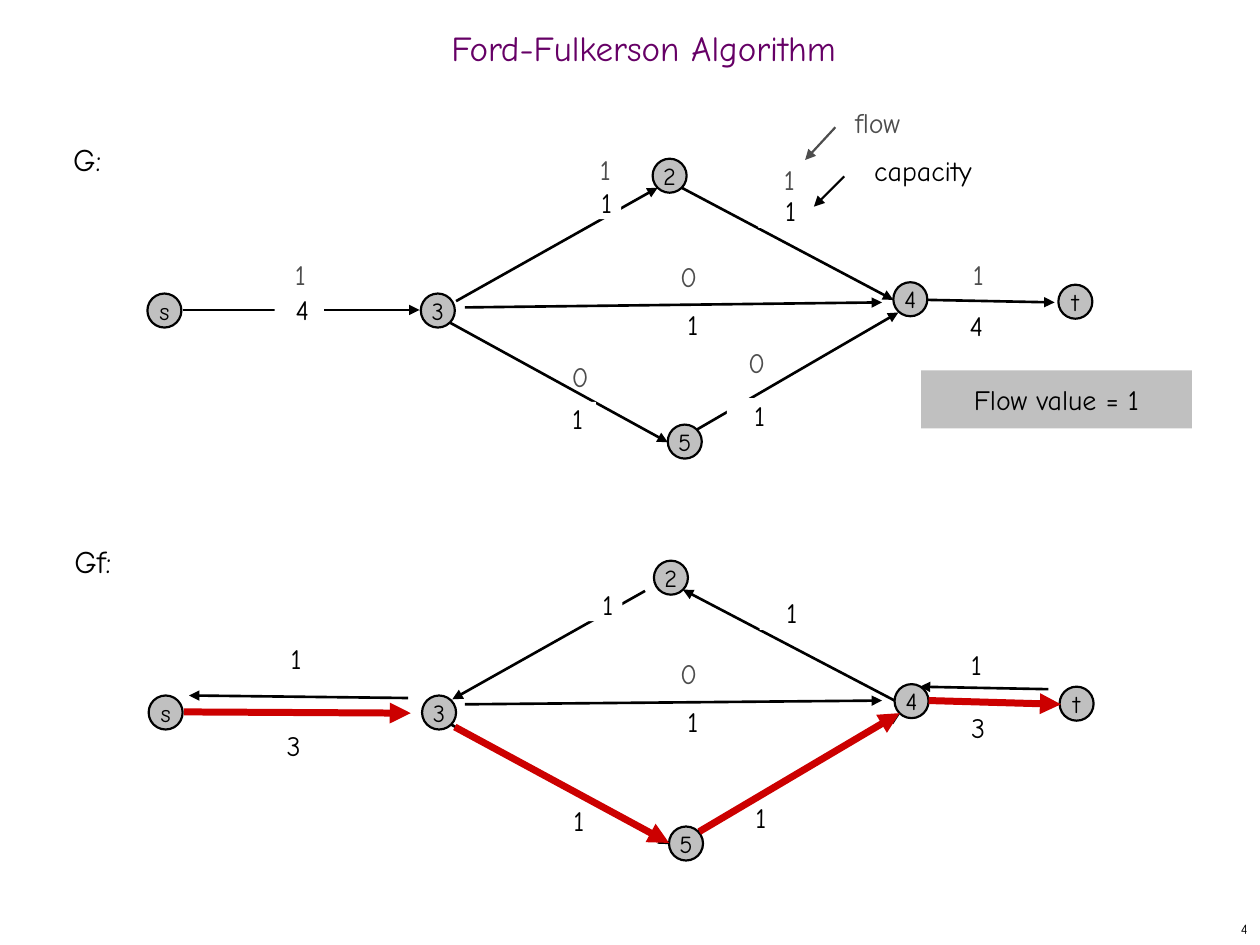
from lxml.etree import SubElement
from pptx import Presentation
from pptx.dml.color import RGBColor
from pptx.enum.shapes import MSO_CONNECTOR, MSO_SHAPE
from pptx.enum.text import MSO_ANCHOR, PP_ALIGN
from pptx.oxml.ns import qn
from pptx.util import Inches, Pt

FONT = "Comic Neue"
BLACK = RGBColor(0, 0, 0)
WHITE = RGBColor(255, 255, 255)
GRAY = RGBColor(0xC0, 0xC0, 0xC0)
DARK = RGBColor(0x4D, 0x4D, 0x4D)
RED = RGBColor(0xCC, 0, 0)
PURPLE = RGBColor(0x66, 0, 0x66)

SIZE = 0.27
DROP = (0.01, 3.19)

NODES = [("s", 1.17, 2.33), ("2", 5.18, 1.26), ("3", 3.34, 2.33),
         ("4", 7.09, 2.24), ("5", 5.3, 3.37), ("t", 8.4, 2.26)]
EDGES = [(3.57, 2.56, 5.3, 3.51), (5.53, 3.41, 7.13, 2.48),
         (7.36, 2.38, 8.37, 2.4)]
COSTS = [("1", 4.39, 3.19, 0.34), ("1", 4.65, 1.47, 0.28),
         ("1", 6.02, 1.54, 0.46), ("1", 5.77, 3.16, 0.47)]

GRAPHS = [
    {
        "name": "G:", "shift": (0, 0),
        "edges": [(1.45, 2.46, 3.33, 2.46), (5.41, 1.49, 7.09, 2.38),
                  (3.62, 2.39, 5.22, 1.49), (3.69, 2.44, 7, 2.4)],
        "costs": [("4", 2.18, 2.32, 0.39), ("4", 7.49, 2.45, 0.47),
                  ("1", 5.24, 2.44, 0.47)],
        "flows": [("1", 2.2, 2.04), ("0", 4.42, 2.85), ("1", 7.58, 2.04),
                  ("1", 4.62, 1.21), ("0", 5.82, 2.74), ("1", 6.08, 1.29),
                  ("0", 5.28, 2.06)],
        "route": [],
    },
    {
        "name": "Gf:", "shift": DROP,
        "edges": [(7.1, 5.56, 5.42, 4.68), (5.12, 4.69, 3.59, 5.55),
                  (3.24, 5.54, 1.5, 5.52), (8.32, 5.47, 7.3, 5.45),
                  (3.69, 5.59, 7, 5.56)],
        "costs": [("3", 2.11, 5.78, 0.39), ("3", 7.51, 5.64, 0.46),
                  ("1", 2.13, 5.09, 0.39), ("1", 7.53, 5.14, 0.39),
                  ("1", 5.24, 5.59, 0.47)],
        "flows": [("0", 5.28, 5.21)],
        "route": [(1.46, 5.65, 3.26, 5.66), (3.61, 5.77, 5.31, 6.69),
                  (5.55, 6.6, 7.14, 5.66), (7.37, 5.56, 8.42, 5.59)],
    },
]
KEYS = [("flow", 6.61, 0.79, 0.71, DARK), ("capacity", 6.71, 1.17, 1.23, BLACK)]
HINTS = [((6.63, 1.01, 6.39, 1.27), DARK), ((6.7, 1.4, 6.46, 1.64), BLACK)]

deck = Presentation()
deck.slide_width, deck.slide_height = Inches(10), Inches(7.5)
slide = deck.slides.add_slide(deck.slide_layouts[6])


def write(text, left, top, width, height, shape=None, fill=None, line=None,
          size=16, color=BLACK, align=PP_ALIGN.CENTER, anchor=MSO_ANCHOR.TOP,
          pad=(0, 0), indent=0, wrap=True, space=None):
    box = [Inches(n) for n in (left, top, width, height)]
    if shape is None:
        item = slide.shapes.add_textbox(*box)
    else:
        item = slide.shapes.add_shape(shape, *box)
        item.shadow.inherit = False
        item.fill.solid()
        item.fill.fore_color.rgb = fill
        if line is None:
            item.line.fill.background()
        else:
            item.line.color.rgb = line
            item.line.width = Pt(1.25)
    frame = item.text_frame
    frame.word_wrap = wrap
    frame.vertical_anchor = anchor
    frame.margin_left = Inches(pad[0] + indent)
    frame.margin_right = Inches(pad[0])
    frame.margin_top = frame.margin_bottom = Inches(pad[1])
    para = frame.paragraphs[0]
    para.alignment = align
    para.line_spacing = space
    run = para.add_run()
    run.text = text
    run.font.name = FONT
    run.font.size = Pt(size)
    run.font.color.rgb = color


def arrow(ends, color=BLACK, width=1.5):
    item = slide.shapes.add_connector(MSO_CONNECTOR.STRAIGHT,
                                      *[Inches(n) for n in ends])
    item.line.color.rgb = color
    item.line.width = Pt(width)
    SubElement(item.line._get_or_add_ln(), qn("a:tailEnd"), type="triangle")
    SubElement(item._element.spPr, qn("a:effectLst"))


def draw(graph):
    dx, dy = graph["shift"]
    write(graph["name"], 0.5 + dx, 1.11 + dy, 0.48, 0.3, MSO_SHAPE.RECTANGLE,
          WHITE, size=18, align=PP_ALIGN.LEFT, indent=0.08)
    for text, x, y in NODES:
        write(text, x + dx, y + dy, SIZE, SIZE, MSO_SHAPE.OVAL, GRAY, BLACK,
              size=14, anchor=MSO_ANCHOR.MIDDLE, wrap=False)
    for x, y, u, v in EDGES:
        arrow((x + dx, y + dy, u + dx, v + dy))
    for ends in graph["edges"]:
        arrow(ends)
    moved = [(text, x + dx, y + dy, w) for text, x, y, w in COSTS]
    for text, x, y, w in moved + graph["costs"]:
        write(text, x, y, w, SIZE, MSO_SHAPE.RECTANGLE, WHITE, indent=0.05)
    for text, x, y in graph["flows"]:
        write(text, x, y, 0.37, 0.19, color=DARK)
    for ends in graph["route"]:
        arrow(ends, RED, 4)


write("Ford-Fulkerson Algorithm", 0.11, 0.17, 10, 0.5, size=20, color=PURPLE,
      anchor=MSO_ANCHOR.MIDDLE, pad=(0.1, 0.05), space=0.7)
for graph in GRAPHS:
    draw(graph)
write("Flow value = 1", 7.31, 2.94, 2.15, 0.46, MSO_SHAPE.RECTANGLE, GRAY,
      anchor=MSO_ANCHOR.MIDDLE, pad=(0.1, 0.15))
for text, x, y, w, color in KEYS:
    write(text, x, y, w, 0.37, color=color, pad=(0.1, 0.05))
for ends, color in HINTS:
    arrow(ends, color, 1.25)
write("4", 7.92, 7.25, 2.08, 0.25, size=8, align=PP_ALIGN.RIGHT,
      anchor=MSO_ANCHOR.MIDDLE, pad=(0.1, 0.05))

deck.save("out.pptx")
